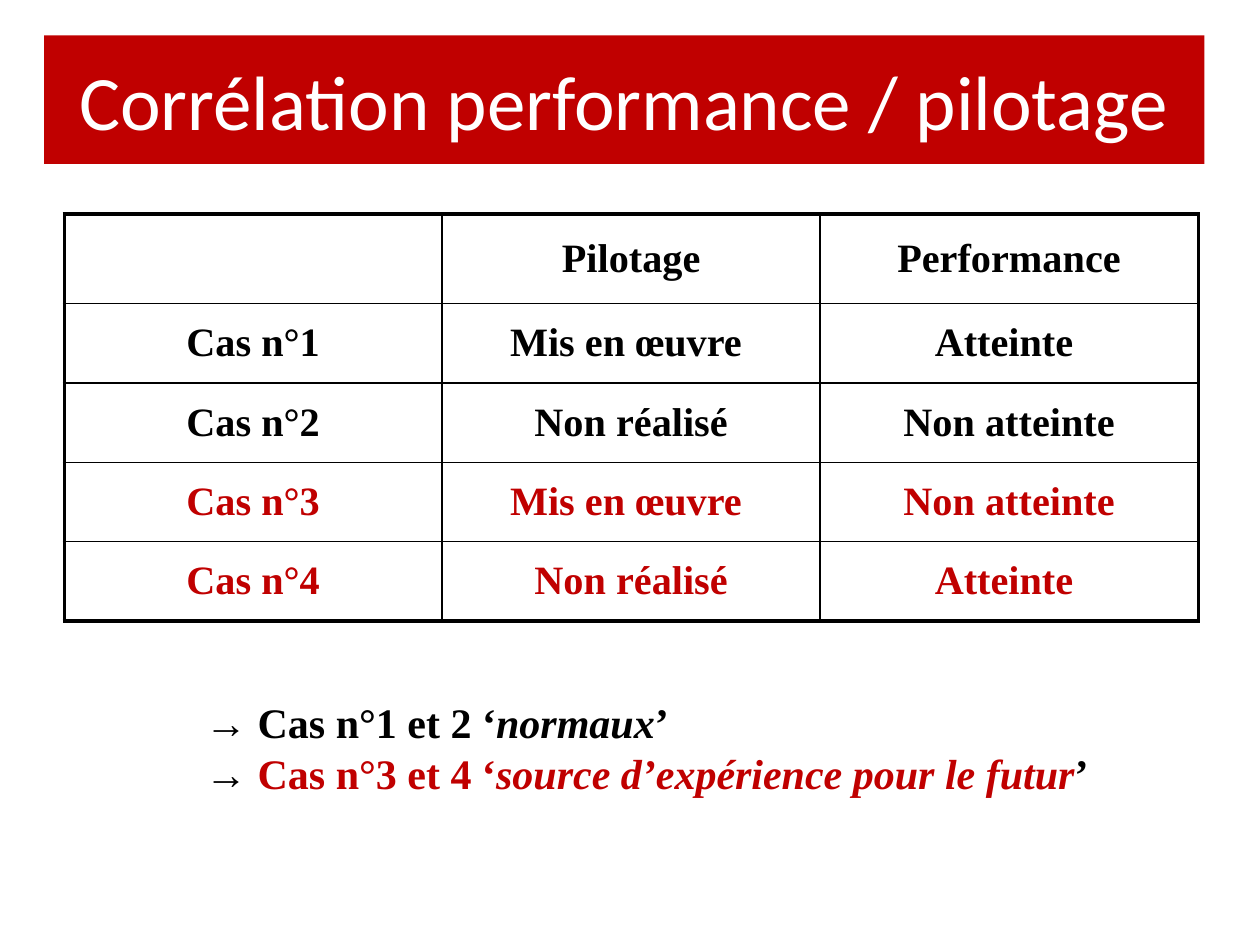
from lxml import etree
from pptx import Presentation
from pptx.dml.color import RGBColor
from pptx.enum.shapes import MSO_SHAPE
from pptx.enum.text import MSO_ANCHOR, MSO_AUTO_SIZE, PP_ALIGN
from pptx.oxml.ns import qn
from pptx.util import Inches, Pt

RECTANGLE = MSO_SHAPE.RECTANGLE
MIDDLE = MSO_ANCHOR.MIDDLE
CENTER = PP_ALIGN.CENTER
FIT_SHAPE = MSO_AUTO_SIZE.SHAPE_TO_FIT_TEXT
BLACK, RED, WHITE = "000000", "C00000", "FFFFFF"
SERIF = "Times New Roman"
THICK, THIN = 2.25, 1


def style(font, name, size, color, bold=False):
    font.name, font.size, font.bold = name, Pt(size), bold
    font.color.rgb = RGBColor.from_string(color)


def add_border(cell, side, width):
    """Draw one black border of a cell; side is L, R, T or B."""
    line = etree.SubElement(cell._tc.get_or_add_tcPr(), qn(f"a:ln{side}"), w=str(Pt(width)))
    fill = etree.SubElement(line, qn("a:solidFill"))
    etree.SubElement(fill, qn("a:srgbClr"), val=BLACK)


prs = Presentation()
prs.slide_width, prs.slide_height = Inches(10), Inches(7.5)
slide = prs.slides.add_slide(prs.slide_layouts[6])

# Title banner
banner = slide.shapes.add_shape(RECTANGLE, Inches(0.35), Inches(0.28), Inches(9.21), Inches(1.02))
banner.shadow.inherit = False
banner.fill.solid()
banner.fill.fore_color.rgb = RGBColor.from_string(RED)
banner.line.fill.background()
banner.text_frame.word_wrap = True
banner.text_frame.vertical_anchor = MIDDLE
title = banner.text_frame.paragraphs[0]
title.text = "Corrélation performance / pilotage"
title.alignment = CENTER
style(title.font, "Calibri", 44, WHITE)

# Table of cases; the last two rows are the ones to learn from
cases = [
    ("", "Pilotage", "Performance"),
    ("Cas n°1", "Mis en œuvre ", "Atteinte "),
    ("Cas n°2", "Non réalisé", "Non atteinte"),
    ("Cas n°3", "Mis en œuvre ", "Non atteinte"),
    ("Cas n°4", "Non réalisé", "Atteinte "),
]
last_row, last_col = len(cases) - 1, len(cases[0]) - 1
table = slide.shapes.add_table(len(cases), len(cases[0]), Inches(0.51), Inches(1.7),
                               Inches(9), Inches(3.23)).table
table.first_row = table.horz_banding = False
for r, case in enumerate(cases):
    table.rows[r].height = Inches(0.71 if r == 0 else 0.63)
    for c, label in enumerate(case):
        cell = table.cell(r, c)
        cell.vertical_anchor = MIDDLE
        outer_edges = {"L": c == 0, "R": c == last_col, "T": r == 0, "B": r == last_row}
        for side, is_outer in outer_edges.items():
            add_border(cell, side, THICK if is_outer else THIN)
        cell.fill.background()
        entry = cell.text_frame.paragraphs[0]
        entry.text = label
        entry.alignment = CENTER
        style(entry.font, SERIF, 23, RED if r >= 3 else BLACK, bold=True)

# Conclusions: runs of (text, colour, italic)
conclusions = [
    [("→ Cas n°1 et 2 ‘", BLACK, False), ("normaux", BLACK, True), ("’", BLACK, False)],
    [("→ ", BLACK, False), ("Cas n°3 et 4 ‘", RED, False),
     ("source d’expérience pour le futur", RED, True), ("’", BLACK, False)],
]
summary = slide.shapes.add_textbox(Inches(1.53), Inches(5.48), Inches(7.28), Inches(0.91)).text_frame
summary.word_wrap = False
summary.auto_size = FIT_SHAPE
for i, parts in enumerate(conclusions):
    conclusion = summary.paragraphs[0] if i == 0 else summary.add_paragraph()
    style(conclusion.font, SERIF, 24, BLACK, bold=True)
    for words, color, italic in parts:
        run = conclusion.add_run()
        run.text = words
        style(run.font, SERIF, 24, color, bold=True)
        run.font.italic = italic

prs.save("out.pptx")
